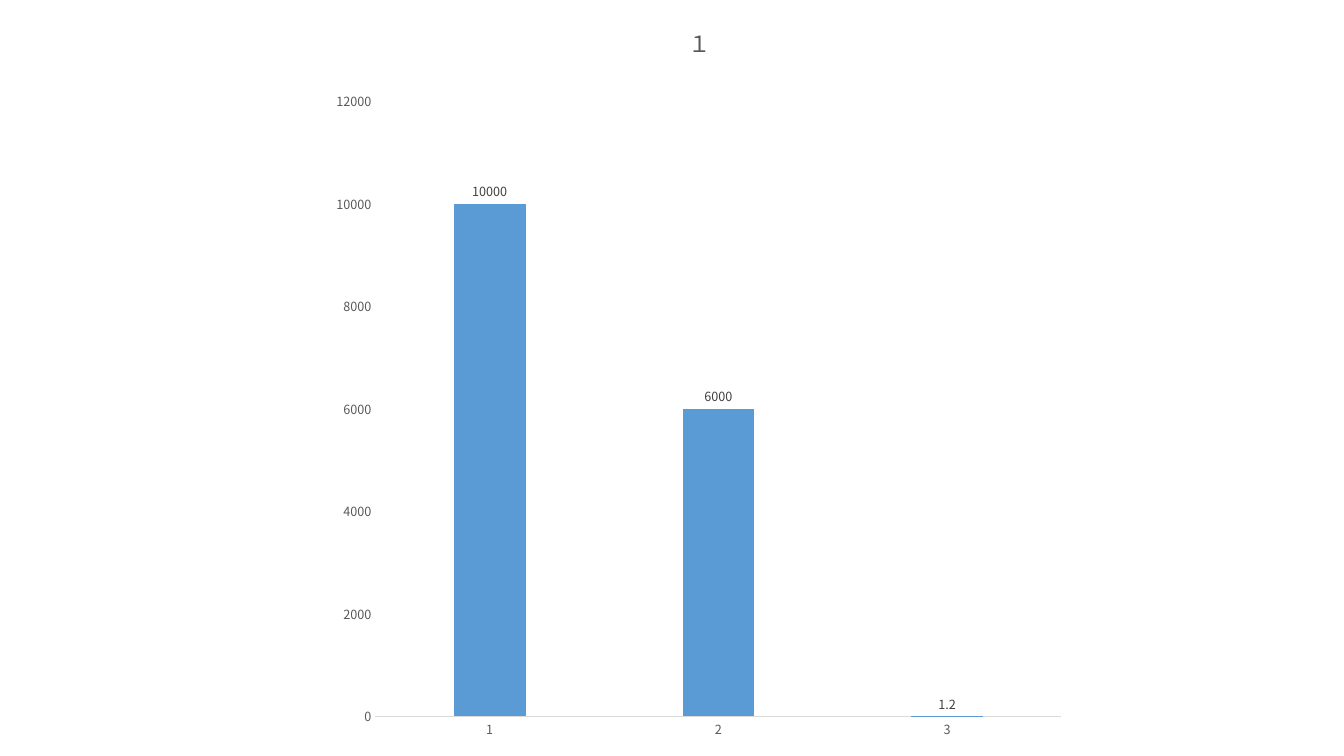
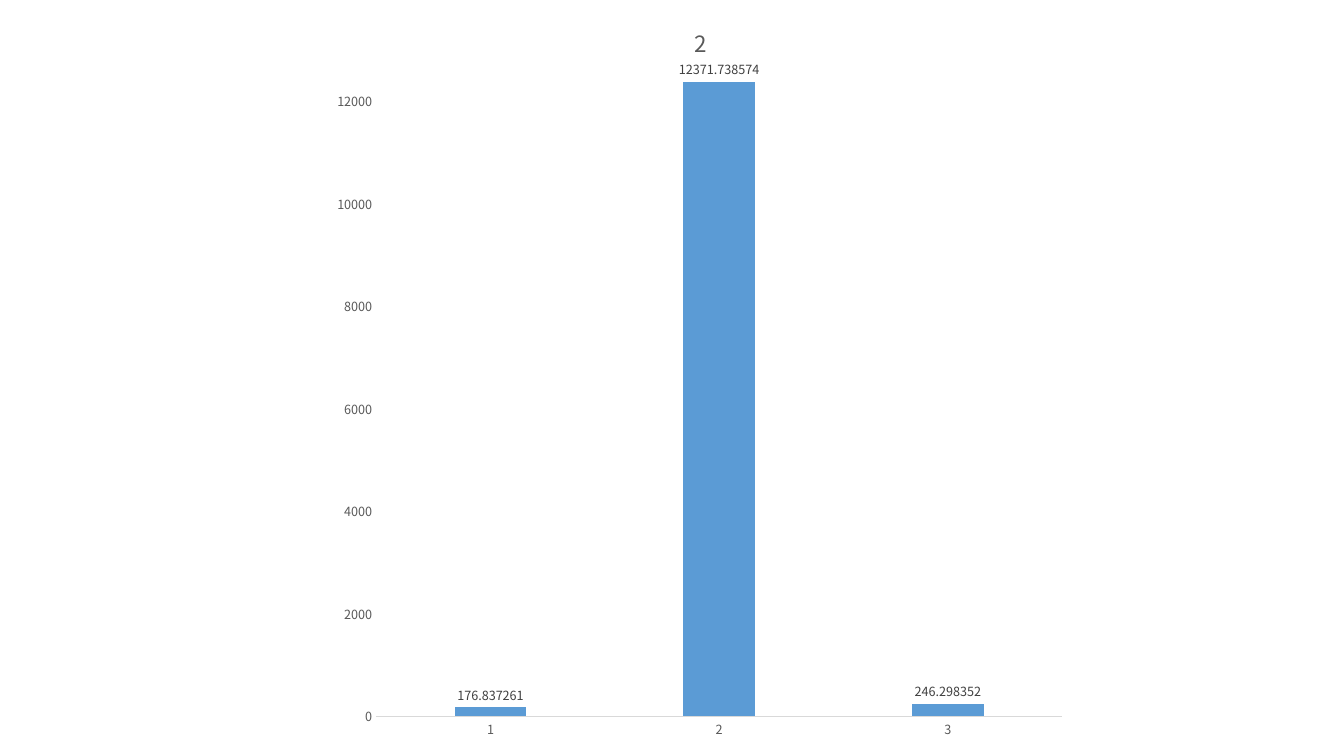
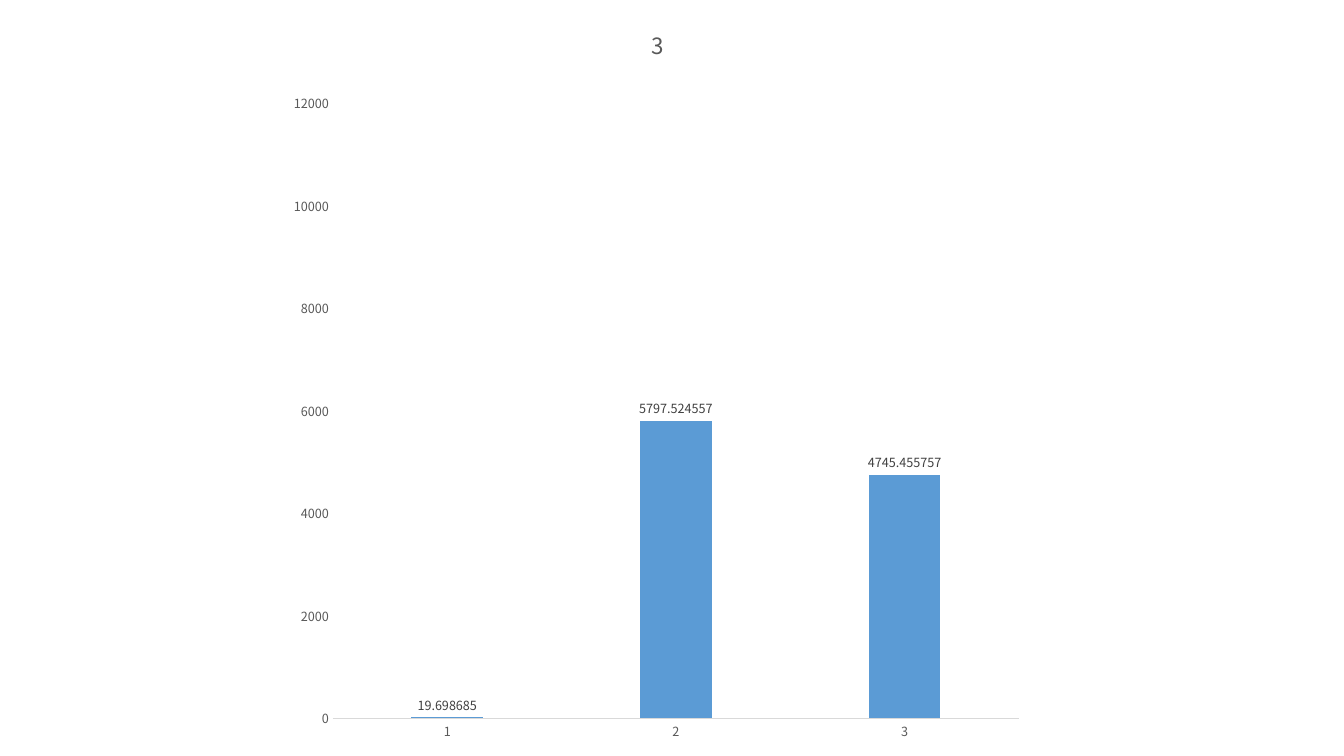
"""Build three slides, each with one column chart on a common scale."""
from lxml import etree
from pptx import Presentation
from pptx import util as u
from pptx.chart.data import CategoryChartData
from pptx.dml.color import RGBColor
from pptx.enum import chart as charts
from pptx.oxml.ns import qn

FONT = "Noto Sans CJK JP"
BAR_BLUE = RGBColor(0x5B, 0x9B, 0xD5)
AXIS_GREY = RGBColor(0xD9, 0xD9, 0xD9)
TEXT_GREY = RGBColor(0x59, 0x59, 0x59)
LABEL_GREY = RGBColor(0x40, 0x40, 0x40)
BLACK = RGBColor(0, 0, 0)
CHART_SIZE = u.Cm(19)
CATEGORIES = ("1", "2", "3")
PLOT_FRAME = {"x": 0.07, "y": 0.1, "w": 0.91, "h": 0.85}
SLIDES = (
    ("１", 8.13, 0, (10000, 6000, 1.2)),
    ("2", 8.15, 0, (176.837261, 12371.738574, 246.298352)),
    ("3", 7.06, 0.05, (19.698685, 5797.524557, 4745.455757)),
)


def style_font(font, size, color):
    font.name = FONT
    font.size = u.Pt(size)
    font.color.rgb = color


def style_title(chart, title):
    chart.has_title = True
    chart.chart_title.include_in_layout = False
    para = chart.chart_title.text_frame.paragraphs[0]
    para.text = title
    style_font(para.font, 16, TEXT_GREY)
    para.font.bold = False


def style_axes(chart):
    for axis in (chart.category_axis, chart.value_axis):
        axis.has_major_gridlines = False
        axis.major_tick_mark = charts.XL_TICK_MARK.NONE
        axis.minor_tick_mark = charts.XL_TICK_MARK.NONE
        style_font(axis.tick_labels.font, 9, TEXT_GREY)
    axis_line = chart.category_axis.format.line
    axis_line.color.rgb = AXIS_GREY
    axis_line.width = u.Pt(0.75)
    chart.value_axis.format.line.fill.background()
    chart.value_axis.minimum_scale = 0
    chart.value_axis.maximum_scale = 12500
    chart.value_axis.major_unit = 2000


def style_columns(plot):
    plot.gap_width = 219
    plot.overlap = -27
    plot.vary_by_categories = False
    column_fill = plot.series[0].format.fill
    column_fill.solid()
    column_fill.fore_color.rgb = BAR_BLUE
    plot.has_data_labels = True
    labels = plot.data_labels
    labels.show_value = True
    labels.position = charts.XL_LABEL_POSITION.OUTSIDE_END
    style_font(labels.font, 9, LABEL_GREY)


def fix_plot_frame(chart):
    plot_area = chart.element.find(".//" + qn("c:plotArea"))
    for old_layout in plot_area.findall(qn("c:layout")):
        plot_area.remove(old_layout)
    layout = etree.Element(qn("c:layout"))
    manual = etree.SubElement(layout, qn("c:manualLayout"))
    settings = {"layoutTarget": "inner", "xMode": "edge", "yMode": "edge", **PLOT_FRAME}
    for name, value in settings.items():
        etree.SubElement(manual, qn("c:" + name), val=str(value))
    plot_area.insert(0, layout)


def add_column_chart(page, title, left, top, values):
    data = CategoryChartData()
    data.categories = CATEGORIES
    data.add_series("Series 1", values)
    chart = page.shapes.add_chart(
        charts.XL_CHART_TYPE.COLUMN_CLUSTERED,
        u.Cm(left), u.Cm(top), CHART_SIZE, CHART_SIZE, data,
    ).chart
    chart.has_legend = False
    style_font(chart.font, 10, BLACK)
    style_title(chart, title)
    style_axes(chart)
    style_columns(chart.plots[0])
    fix_plot_frame(chart)


def main():
    deck = Presentation()
    deck.slide_width, deck.slide_height = u.Cm(33.87), u.Cm(19.05)
    blank = deck.slide_layouts[6]
    for title, left, top, values in SLIDES:
        add_column_chart(deck.slides.add_slide(blank), title, left, top, values)
    deck.save("out.pptx")


main()
